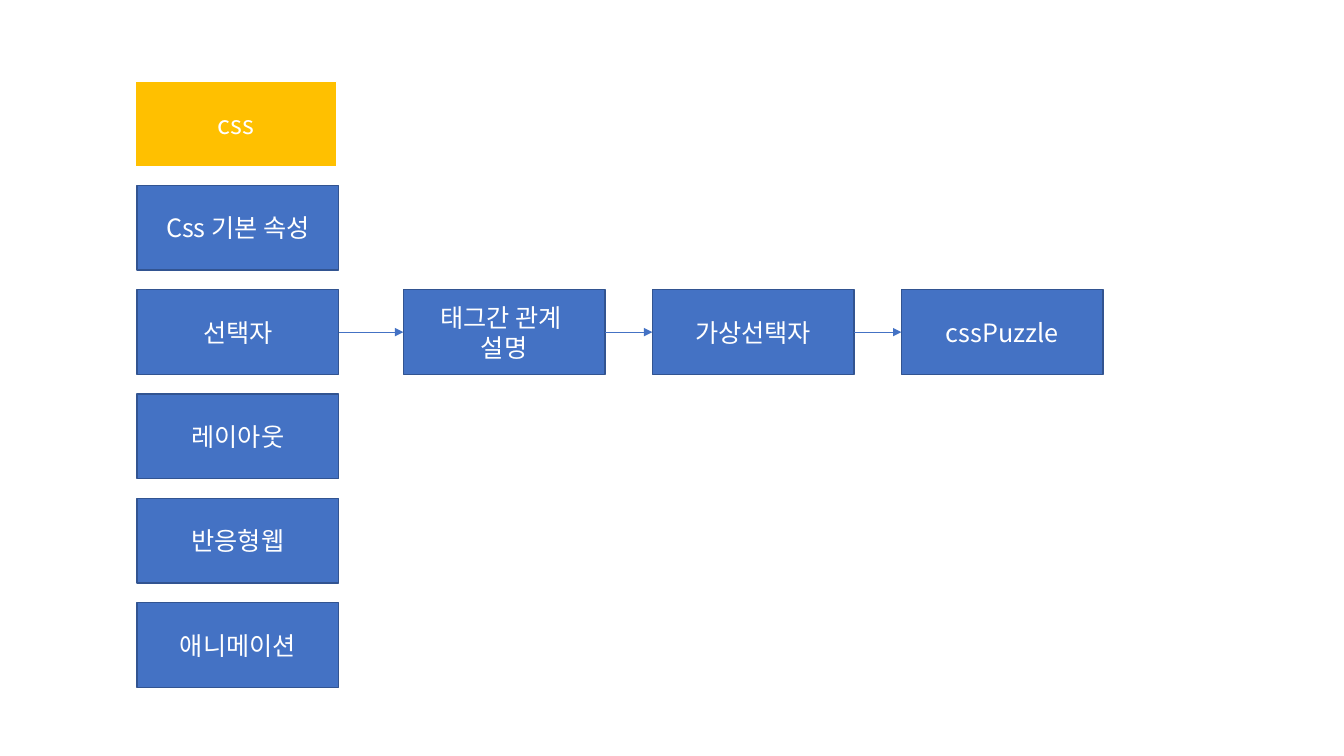
import itertools

import pptx
import pptx.dml.color
import pptx.enum.shapes
import pptx.enum.text
import pptx.oxml
import pptx.oxml.ns
import pptx.util

Inches = pptx.util.Inches

HEADING = "css"
TOPICS = ["Css 기본 속성", "선택자", "레이아웃", "반응형웹", "애니메이션"]
EXPANDED_TOPIC = "선택자"
SUBTOPICS = ["태그간 관계 \n설명", "가상선택자", "cssPuzzle"]

THEME = {
    "font": "Noto Sans CJK KR",
    "size": 18,
    "text": "FFFFFF",
    "heading_fill": "FFC000",
    "heading_line": "FFFFFF",
    "topic_fill": "4472C4",
    "topic_line": "325491",
    "arrow": "4472C4",
    "box_weight": 1,
    "arrow_weight": 0.5,
}

BOX_W, BOX_H = 2, 0.84
HEADING_LEFT, HEADING_TOP = 1.34, 0.81
TOPIC_LEFT, FIRST_TOP, LAST_TOP = 1.36, 1.84, 5.98
SUBTOPIC_LEFT, SUBTOPIC_PITCH = 4, 2.47


def rgb(color):
    return pptx.dml.color.RGBColor.from_string(color)


def add_text(tf, text, *, size=THEME["size"], color=THEME["text"], font=THEME["font"]):
    """Fill a frame with centred text, one paragraph per line."""
    tf.word_wrap = True
    tf.vertical_anchor = pptx.enum.text.MSO_ANCHOR.MIDDLE
    for i, line in enumerate(text.split("\n")):
        p = tf.add_paragraph() if i else tf.paragraphs[0]
        p.alignment = pptx.enum.text.PP_ALIGN.CENTER
        r = p.add_run()
        r.text = line
        r.font.size = pptx.util.Pt(size)
        r.font.name = font
        r.font.color.rgb = rgb(color)
        ea = pptx.oxml.parse_xml(f'<a:ea {pptx.oxml.ns.nsdecls("a")} typeface="{font}"/>')
        r.font._element.find(pptx.oxml.ns.qn("a:latin")).addnext(ea)


def add_box(slide, text, left, top, kind="topic"):
    sp = slide.shapes.add_shape(
        pptx.enum.shapes.MSO_SHAPE.RECTANGLE,
        Inches(left), Inches(top), Inches(BOX_W), Inches(BOX_H))
    sp.shadow.inherit = False
    sp.fill.solid()
    sp.fill.fore_color.rgb = rgb(THEME[f"{kind}_fill"])
    sp.line.color.rgb = rgb(THEME[f"{kind}_line"])
    sp.line.width = pptx.util.Pt(THEME["box_weight"])
    add_text(sp.text_frame, text)
    return sp


def add_arrow(slide, source, target):
    """Join the right side of source to the left side of target."""
    arrow = slide.shapes.add_connector(pptx.enum.shapes.MSO_CONNECTOR.STRAIGHT, 0, 0, 0, 0)
    arrow.begin_connect(source, 3)
    arrow.end_connect(target, 1)
    arrow.line.color.rgb = rgb(THEME["arrow"])
    arrow.line.width = pptx.util.Pt(THEME["arrow_weight"])
    ns = pptx.oxml.ns.nsdecls("a")
    arrow.line._get_or_add_ln().append(
        pptx.oxml.parse_xml(f'<a:tailEnd {ns} type="triangle"/>'))
    arrow._element.spPr.append(pptx.oxml.parse_xml(f"<a:effectLst {ns}/>"))


def main():
    prs = pptx.Presentation()
    prs.slide_width, prs.slide_height = Inches(13.33), Inches(7.5)
    slide = prs.slides.add_slide(prs.slide_layouts.get_by_name("Blank"))

    add_box(slide, HEADING, HEADING_LEFT, HEADING_TOP, kind="heading")

    topic_pitch = (LAST_TOP - FIRST_TOP) / (len(TOPICS) - 1)
    tops = {topic: FIRST_TOP + i * topic_pitch for i, topic in enumerate(TOPICS)}
    topics = {topic: add_box(slide, topic, TOPIC_LEFT, top) for topic, top in tops.items()}

    chain = [topics[EXPANDED_TOPIC]]
    for i, text in enumerate(SUBTOPICS):
        left = SUBTOPIC_LEFT + i * SUBTOPIC_PITCH
        chain.append(add_box(slide, text, left, tops[EXPANDED_TOPIC]))
    for source, target in itertools.pairwise(chain):
        add_arrow(slide, source, target)

    prs.save("out.pptx")


if __name__ == "__main__":
    main()
